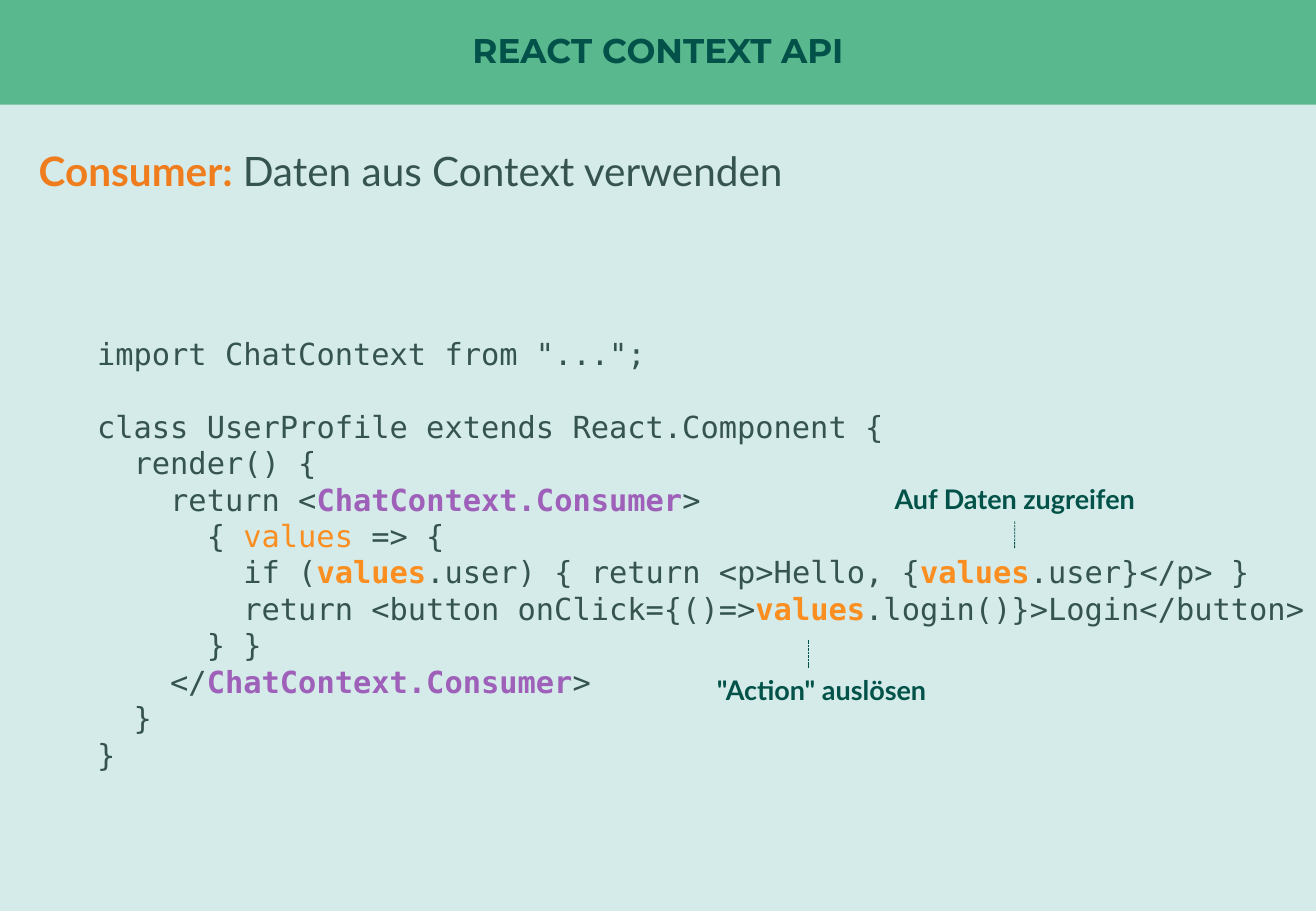
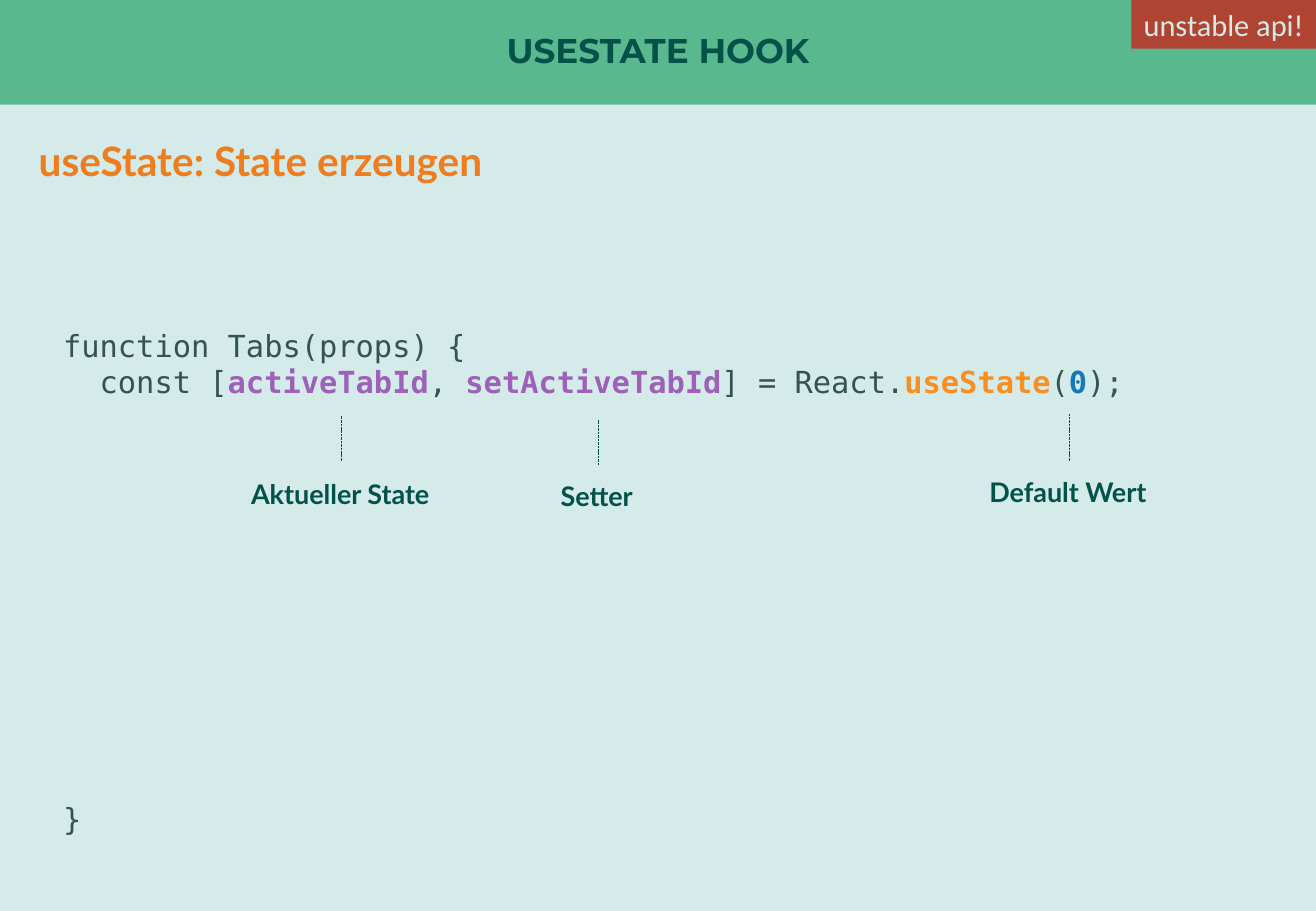
"""Two slides on the React Context API and the useState hook."""
from lxml import etree
from pptx import Presentation
from pptx.dml.color import RGBColor
from pptx.enum import dml, shapes, text
from pptx.oxml import ns
from pptx.util import Cm, Pt

MINT = RGBColor(0xD4, 0xEB, 0xE9)
GREEN = RGBColor(0x5A, 0xB8, 0x8F)
DARK = RGBColor(0x02, 0x52, 0x49)
GREY = RGBColor(0x36, 0x54, 0x4F)
PURPLE = RGBColor(0x9E, 0x60, 0xB8)
AMBER = RGBColor(0xFB, 0x8E, 0x20)
ORANGE = RGBColor(0xEF, 0x7D, 0x1D)
BLUE = RGBColor(0x17, 0x78, 0xB8)
RED = RGBColor(0xB0, 0x44, 0x32)

CODE_LINE = 21.6
TITLE = dict(name="Montserrat", size=Pt(20.3), bold=True)
HEADING = dict(name="Lato", size=Pt(24))
LABEL = dict(name="Lato", size=Pt(16), bold=True)
CODE = dict(name="DejaVu Sans Mono", size=Pt(18))
BADGE = dict(name="Calibri", size=Pt(18), bold=False)

slides = [
    dict(
        title="REACT CONTEXT API",
        heading=[("Consumer: ", ORANGE, True), ("Daten aus Context verwenden", GREY, False)],
        heading_top=2.72, heading_spacing=1.2,
        code_box=(1.78, 6.88, 26.64, 9.5),
        code=[
            (0, [('import ChatContext from "...";', GREY, False)]),
            (1, [("class UserProfile extends React.Component {", GREY, False)]),
            (0, [("  render() {", GREY, False)]),
            (0, [("    return <", GREY, False), ("ChatContext.Consumer", PURPLE, True),
                 (">", GREY, False)]),
            (0, [("      { ", GREY, False), ("values", AMBER, False), (" => {", GREY, False)]),
            (0, [("        if (", GREY, False), ("values", AMBER, True),
                 (".user) { return <p>Hello, {", GREY, False), ("values", AMBER, True),
                 (".user}</p> }", GREY, False)]),
            (0, [("        return <button onClick={()=>", GREY, False), ("values", AMBER, True),
                 (".login()}>Login</button>", GREY, False)]),
            (0, [("      } }", GREY, False)]),
            (0, [("    </", GREY, False), ("ChatContext.Consumer", PURPLE, True),
                 (">", GREY, False)]),
            (0, [("  }", GREY, False)]),
            (0, [("}", GREY, False)]),
        ],
        labels=[
            ('"Action" auslösen', 13.11, 13.97, (16.89, 13.97, 13.39), None),
            ("Auf Daten zugreifen", 17.15, 9.96, (21.21, 11.46, 10.9), 2),
        ],
        badge=None,
    ),
    dict(
        title="USESTATE HOOK",
        heading=[("useState: State erzeugen", ORANGE, True)],
        heading_top=2.84, heading_spacing=0.9,
        code_box=(1.07, 6.71, 25.37, 11.79),
        code=[
            (0, [("function Tabs(props) {", GREY, False)]),
            (0, [("  const [", GREY, False), ("activeTabId", PURPLE, True), (", ", GREY, False),
                 ("setActiveTabId", PURPLE, True), ("] = React.", GREY, False),
                 ("useState", AMBER, True), ("(", GREY, False), ("0", BLUE, True),
                 (");", GREY, False)]),
            (11, [("}", GREY, False)]),
        ],
        labels=[
            ("Default Wert", 18.26, 9.83, (22.35, 9.63, 8.66), None),
            ("Setter", 8.41, 9.91, (12.52, 9.73, 8.79), None),
            ("Aktueller State", 3.05, 9.86, (7.14, 9.63, 8.69), None),
        ],
        badge="unstable api!",
    ),
]


def add_runs(p, runs, style):
    for words, colour, bold in runs:
        r = p.add_run()
        r.text = words
        for key, value in {**style, "bold": bold}.items():
            setattr(r.font, key, value)
        r.font.color.rgb = colour


def add_box(s, left, top, width, height):
    tf = s.shapes.add_textbox(Cm(left), Cm(top), Cm(width), Cm(height)).text_frame
    tf.word_wrap = True
    tf.auto_size = text.MSO_AUTO_SIZE.SHAPE_TO_FIT_TEXT
    return tf


prs = Presentation()
prs.slide_width, prs.slide_height = Cm(27.51), Cm(19.05)
background = prs.slide_master.background.fill
background.solid()
background.fore_color.rgb = MINT

for content in slides:
    s = prs.slides.add_slide(prs.slide_layouts[5])

    sp = s.shapes.title
    sp.left, sp.top, sp.width, sp.height = 0, 0, prs.slide_width, Cm(2.19)
    sp.fill.solid()
    sp.fill.fore_color.rgb = GREEN
    tf = sp.text_frame
    for key, value in dict(margin_left=0, margin_top=0, margin_right=0, margin_bottom=0,
                           vertical_anchor=text.MSO_ANCHOR.MIDDLE,
                           auto_size=text.MSO_AUTO_SIZE.NONE).items():
        setattr(tf, key, value)
    p = tf.paragraphs[0]
    p.alignment, p.line_spacing = text.PP_ALIGN.CENTER, 0.9
    add_runs(p, [(content["title"], DARK, True)], TITLE)

    tf = add_box(s, *content["code_box"])
    for i, (gap_lines, runs) in enumerate(content["code"]):
        p = tf.add_paragraph() if i else tf.paragraphs[0]
        if gap_lines:
            p.space_before = Pt(gap_lines * CODE_LINE)
        add_runs(p, runs, CODE)

    p = add_box(s, 0.56, content["heading_top"], 26.39, 2.64).paragraphs[0]
    p.line_spacing = content["heading_spacing"]
    add_runs(p, content["heading"], HEADING)

    for words, left, top, (x, start, end), side in content["labels"]:
        tf = add_box(s, left, top, 8.13, 0.94)
        p = tf.paragraphs[0]
        p.alignment = text.PP_ALIGN.CENTER
        add_runs(p, [(words, DARK, True)], LABEL)
        label = s.shapes[-1]
        line = s.shapes.add_connector(shapes.MSO_CONNECTOR.STRAIGHT,
                                      Cm(x), Cm(start), Cm(x), Cm(end))
        if side is not None:
            line.end_connect(label, side)
        line.line.color.rgb = DARK
        line.line.width = Pt(0.5)
        line.line.dash_style = dml.MSO_LINE.SQUARE_DOT
        etree.SubElement(line._element.spPr, ns.qn("a:effectLst"))

    if content["badge"]:
        sp = s.shapes.add_shape(shapes.MSO_SHAPE.RECTANGLE, Cm(23.65), 0, Cm(3.86), Cm(1.02))
        sp.shadow.inherit = False
        sp.fill.solid()
        sp.fill.fore_color.rgb = RED
        sp.line.fill.background()
        sp.text_frame.word_wrap = False
        p = sp.text_frame.paragraphs[0]
        p.alignment = text.PP_ALIGN.CENTER
        add_runs(p, [(content["badge"], MINT, False)], BADGE)

prs.save("out.pptx")
